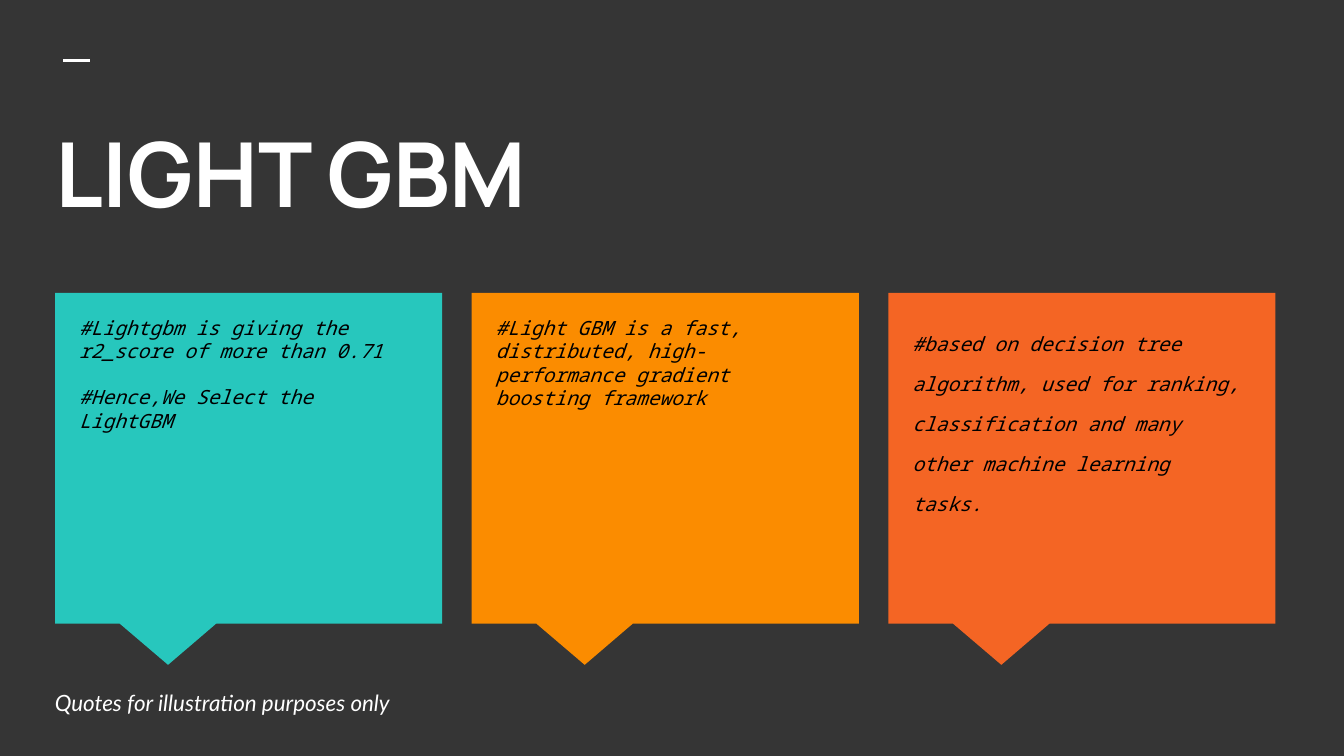
import pptx
import pptx.dml.color
import pptx.enum.shapes
import pptx.enum.text
import pptx.oxml
import pptx.util

Inches = pptx.util.Inches
Anchor = pptx.enum.text.MSO_ANCHOR

WIDTH, HEIGHT = 10, 10 * 9 / 16
COLORS = {
    "background": "353535",
    "light": "FFFFFF",
    "dark": "000000",
    "teal": "27C7BD",
    "amber": "FB8C00",
    "orange": "F46524",
}

# Card grid: three equal columns
GRID_LEFT, GRID_TOP = 0.41, 2.18
CARD_WIDTH, CARD_HEIGHT, PITCH = 2.88, 2.46, 3.1

# Fill, line spacing, gap between paragraphs, paragraphs
CARDS = [
    ("teal", 1, 12, ["#Lightgbm is giving the r2_score of more than 0.71",
                     "#Hence,We Select the LightGBM"]),
    ("amber", 1, 0, ["#Light GBM is a fast, distributed, high-performance "
                     "gradient boosting framework"]),
    ("orange", 1.7, 0, ["#based on decision tree",
                        "algorithm, used for ranking, classification and many "
                        "other machine learning tasks."]),
]


def color(name):
    return pptx.dml.color.RGBColor.from_string(COLORS[name])


def place(shape, box):
    shape.left, shape.top, shape.width, shape.height = map(Inches, box)


def write(shape, paragraphs, font_name, size, color_name, bold=False,
          italic=False, anchor=Anchor.TOP, line_spacing=1, gap=0):
    frame = shape.text_frame
    frame.word_wrap = True
    frame.auto_size = pptx.enum.text.MSO_AUTO_SIZE.NONE
    frame.vertical_anchor = anchor
    frame.margin_left = frame.margin_right = Inches(0.1)
    frame.margin_top = frame.margin_bottom = Inches(0.1)
    frame.text = "\n".join(paragraphs)
    for index, paragraph in enumerate(frame.paragraphs):
        paragraph.alignment = pptx.enum.text.PP_ALIGN.LEFT
        paragraph.line_spacing = line_spacing
        paragraph.space_before = pptx.util.Pt(gap if index else 0)
        font = paragraph.font
        font.name, font.size = font_name, pptx.util.Pt(size)
        font.bold, font.italic = bold, italic
        font.color.rgb = color(color_name)


def add_heading(slide, box):
    left, top, width, height = box
    # Short rule above the title
    rule_y = Inches(top - 0.33)
    rule = slide.shapes.add_connector(
        pptx.enum.shapes.MSO_CONNECTOR.STRAIGHT,
        Inches(left + 0.16), rule_y, Inches(left + 0.36), rule_y)
    rule.line.color.rgb = color("light")
    rule.line.width = pptx.util.Pt(1.5)
    properties = rule._element.spPr
    properties.append(pptx.oxml.parse_xml(
        '<a:effectLst xmlns:a='
        '"http://schemas.openxmlformats.org/drawingml/2006/main"/>'))
    # Title
    place(slide.shapes.title, box)
    write(slide.shapes.title, ["LIGHT GBM"], "Manrope", 48, "light", bold=True)


def add_card(slide, box, fill, line_spacing, gap, paragraphs):
    left, top, width, height = box
    # Callout with its pointer below
    callout = slide.shapes.add_shape(
        pptx.enum.shapes.MSO_SHAPE.RECTANGULAR_CALLOUT, *map(Inches, box))
    callout.adjustments[0], callout.adjustments[1] = -0.208, 0.625
    callout.shadow.inherit = False
    callout.fill.solid()
    callout.fill.fore_color.rgb = color(fill)
    callout.line.fill.background()
    # Quote
    quote = slide.shapes.add_textbox(
        Inches(left + 0.08), Inches(top + 0.07),
        Inches(width - 0.18), Inches(height - 0.27))
    write(quote, paragraphs, "Noto Sans Mono", 10.5, "dark", italic=True,
          line_spacing=line_spacing, gap=gap)


def add_footnote(slide, box):
    footnote = slide.shapes.add_textbox(*map(Inches, box))
    write(footnote, ["Quotes for illustration purposes only"], "Lato", 12,
          "light", italic=True, anchor=Anchor.MIDDLE)


def main():
    presentation = pptx.Presentation()
    presentation.slide_width = Inches(WIDTH)
    presentation.slide_height = Inches(HEIGHT)
    slide = presentation.slides.add_slide(presentation.slide_layouts[5])
    slide.background.fill.solid()
    slide.background.fill.fore_color.rgb = color("background")

    add_heading(slide, (0.31, 0.78, 9.43, 1.12))
    for column, card in enumerate(CARDS):
        left = GRID_LEFT + column * PITCH
        add_card(slide, (left, GRID_TOP, CARD_WIDTH, CARD_HEIGHT), *card)
    add_footnote(slide, (0.31, 5.09, 6.83, 0.28))

    presentation.save("out.pptx")


if __name__ == "__main__":
    main()
